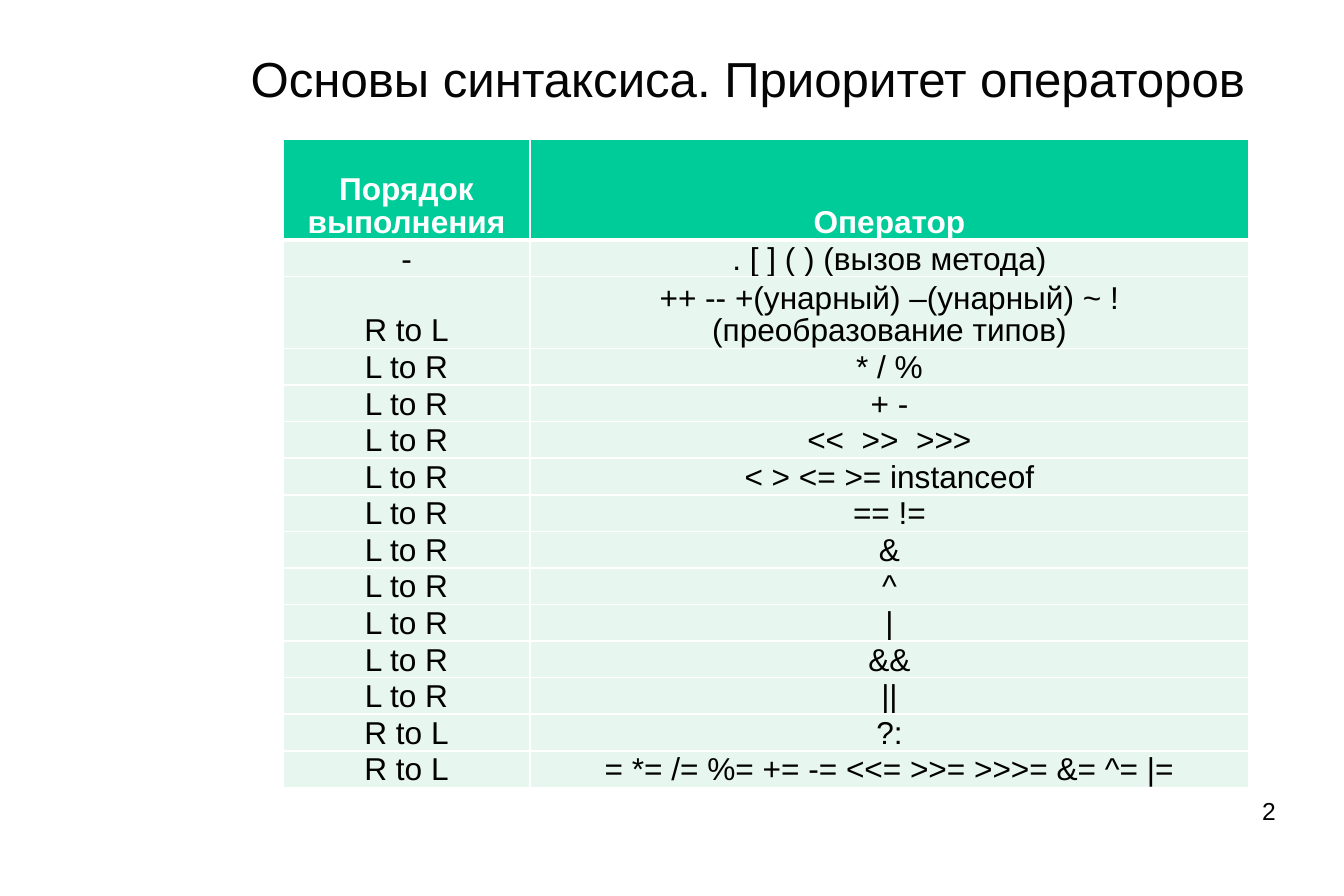
from lxml import etree
from pptx import Presentation, util as u
from pptx.dml.color import RGBColor
from pptx.enum import text
from pptx.oxml.ns import qn

TITLE = "Основы синтаксиса. Приоритет операторов"
PAGE_NUMBER = "2"
HEADER = ("Порядок выполнения", "Оператор")
LEFT, RIGHT = "L to R", "R to L"
PRECEDENCE = [
    ("-", ". [ ] ( ) (вызов метода)"),
    (RIGHT, "++ -- +(унарный) –(унарный) ~ ! (преобразование типов)"),
    (LEFT, "* / %"),
    (LEFT, "+ -"),
    (LEFT, "<<  >>  >>>"),
    (LEFT, "< > <= >= instanceof"),
    (LEFT, "== !="),
    (LEFT, "&"),
    (LEFT, "^"),
    (LEFT, "|"),
    (LEFT, "&&"),
    (LEFT, "||"),
    (RIGHT, "?:"),
    (RIGHT, "= *= /= %= += -= <<= >>= >>>= &= ^= |="),
]
THEME = {
    "font": "Arial",
    "title": "050505", "ink": "000000", "paper": "FFFFFF",
    "header": "00CC99", "body": "E7F6EF",
    "title_size": 28, "table_size": 18, "number_size": 14,
    "thin": 1, "thick": 3,
}
WIDTH, HEIGHT = 10.63, 7.09
TABLE_LEFT, TABLE_TOP = 2.24, 1.1
COLUMNS = (1.95, 5.69)
HEADER_HEIGHT, LINE_HEIGHT, DOUBLE_HEIGHT = 0.8, 0.28, 0.54
TWO_LINE_ROW = 2


def write(frame, words, size, color="ink", bold=False,
          align=text.PP_ALIGN.CENTER, spacing=0.93):
    para = frame.paragraphs[0]
    para.alignment = align
    para.line_spacing = spacing
    span = para.add_run()
    span.text = words
    span.font.name = THEME["font"]
    span.font.size = u.Pt(THEME[size])
    span.font.bold = bold
    span.font.color.rgb = RGBColor.from_string(THEME[color])


def add_label(page, place, words, size, anchor, inset=0, **style):
    frame = page.shapes.add_textbox(*map(u.Inches, place)).text_frame
    frame.word_wrap = True
    frame.vertical_anchor = anchor
    frame.margin_left = frame.margin_right = frame.margin_bottom = 0
    frame.margin_top = u.Inches(inset)
    write(frame, words, size, **style)


def add_borders(cell, **weights):
    properties = cell._tc.get_or_add_tcPr()
    for index, side in enumerate("LRTB"):
        weight = THEME[weights.get(side, "thin")]
        line = etree.Element(qn("a:ln" + side), w=str(u.Pt(weight)))
        fill = etree.SubElement(line, qn("a:solidFill"))
        etree.SubElement(fill, qn("a:srgbClr"), val=THEME["paper"])
        properties.insert(index, line)


def fill_cell(cell, words, row):
    heading = row == 0
    cell.margin_left = cell.margin_right = cell.margin_top = u.Inches(0.01)
    cell.margin_bottom = 0
    cell.vertical_anchor = text.MSO_ANCHOR.BOTTOM
    cell.fill.solid()
    cell.fill.fore_color.rgb = RGBColor.from_string(
        THEME["header" if heading else "body"])
    write(cell.text_frame, words, "table_size",
          color="paper" if heading else "ink", bold=heading)
    add_borders(cell, T="thick" if row == 1 else "thin",
                B="thick" if heading else "thin")


def add_precedence_table(page):
    rows = [HEADER, *PRECEDENCE]
    heights = [LINE_HEIGHT] * len(rows)
    heights[0], heights[TWO_LINE_ROW] = HEADER_HEIGHT, DOUBLE_HEIGHT
    place = (TABLE_LEFT, TABLE_TOP, sum(COLUMNS), sum(heights))
    table = page.shapes.add_table(
        len(rows), len(COLUMNS), *map(u.Inches, place)).table
    table.horz_banding = False
    for column, width in zip(table.columns, COLUMNS):
        column.width = u.Inches(width)
    for index, (row, height) in enumerate(zip(table.rows, heights)):
        row.height = u.Inches(height)
        for cell, words in zip(row.cells, rows[index]):
            fill_cell(cell, words, index)


deck = Presentation()
deck.slide_width, deck.slide_height = u.Inches(WIDTH), u.Inches(HEIGHT)
page = deck.slides.add_slide(deck.slide_layouts[6])
add_label(page, (7.62, 6.3, 2.47, 0.49), PAGE_NUMBER, "number_size",
          text.MSO_ANCHOR.TOP, align=text.PP_ALIGN.RIGHT, spacing=1.0)
add_label(page, (1.73, 0.14, 8.37, 0.97), TITLE, "title_size",
          text.MSO_ANCHOR.MIDDLE, inset=0.04, color="title")
add_precedence_table(page)
deck.save("out.pptx")
